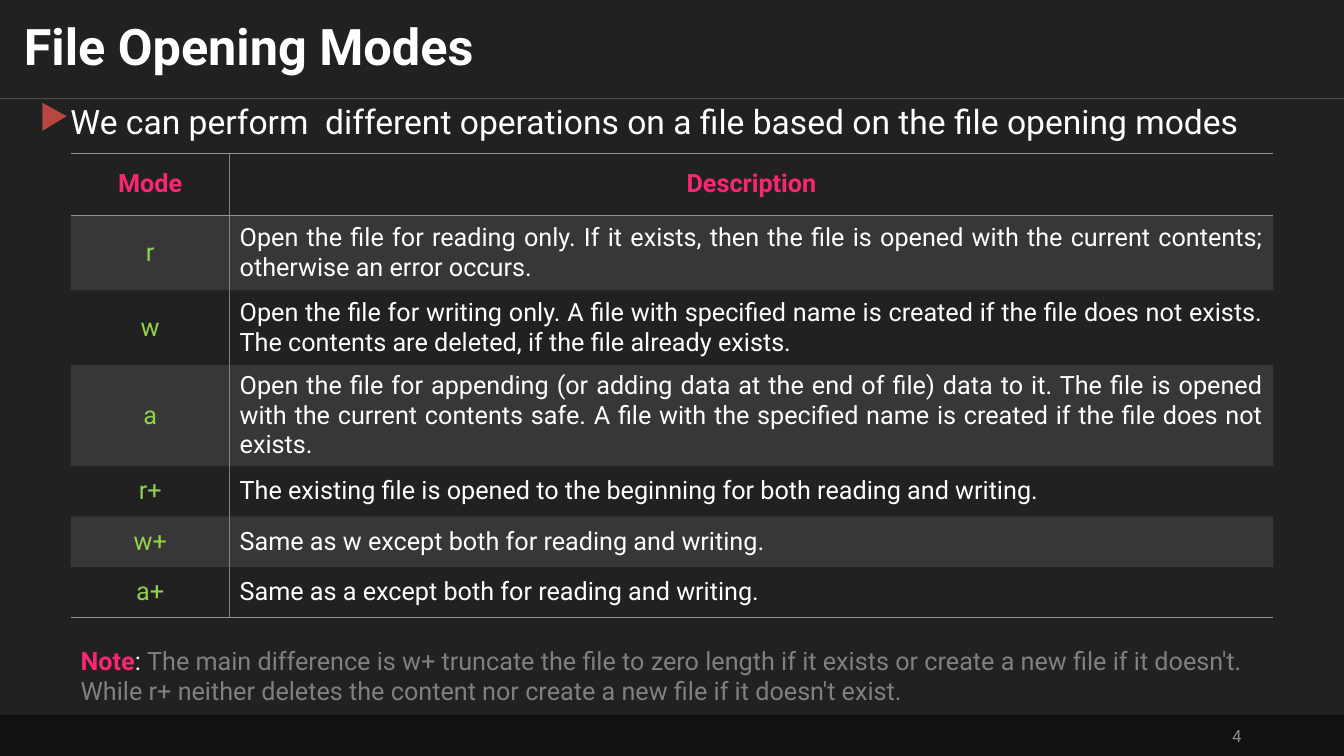
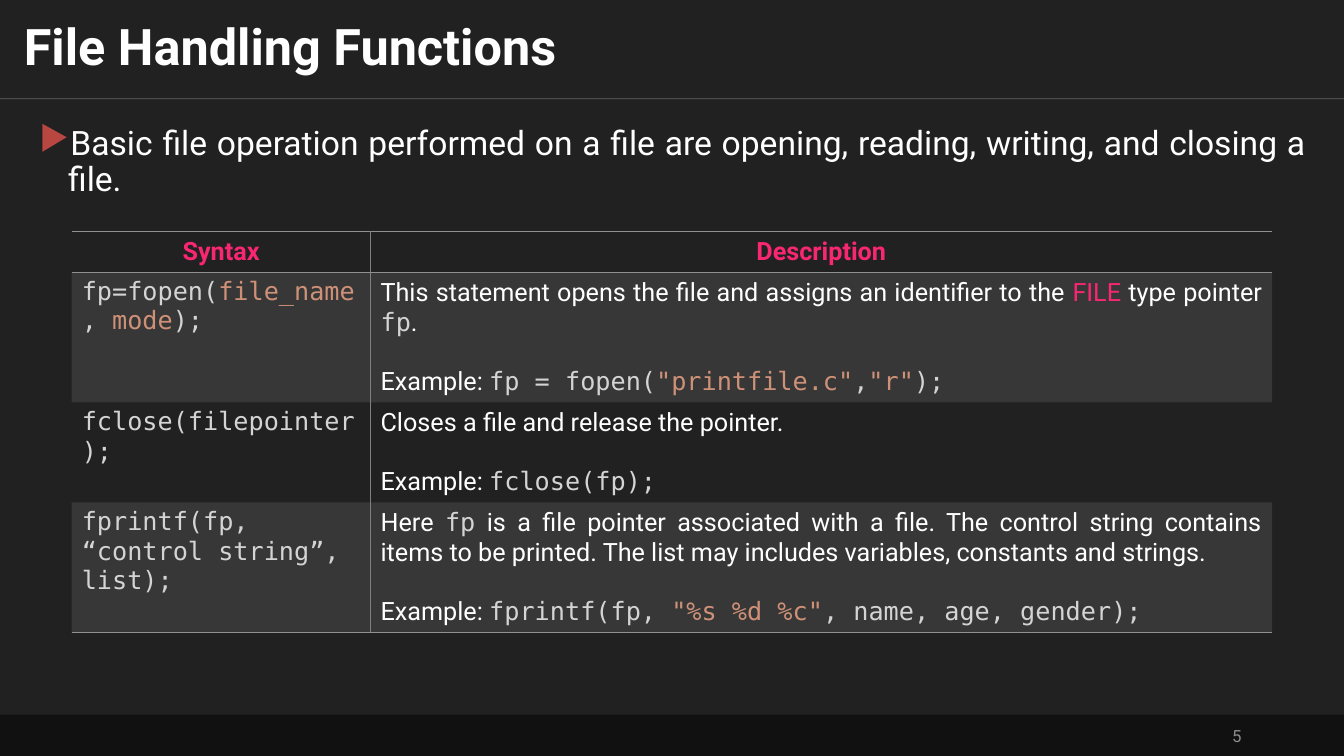
from collections import namedtuple

from lxml import etree
from pptx import Presentation
from pptx.dml.color import RGBColor
from pptx.enum import shapes, text
from pptx.oxml import ns
from pptx.util import Pt

WHITE = RGBColor(0xFF, 0xFF, 0xFF)
BACKDROP = RGBColor(0x21, 0x21, 0x21)
FOOTER = RGBColor(0x11, 0x11, 0x11)
NUMBER = RGBColor(0x8D, 0x8D, 0x8D)
PINK = RGBColor(0xF9, 0x26, 0x72)
GREEN = RGBColor(0x92, 0xD0, 0x50)
BULLET = RGBColor(0xB8, 0x47, 0x42)
GREY = RGBColor(0x80, 0x80, 0x80)
RULE = RGBColor(0x90, 0x90, 0x90)
CODE_GREY = RGBColor(0xD4, 0xD4, 0xD4)
CODE_ORANGE = RGBColor(0xCE, 0x91, 0x78)

SANS, MONO = "Roboto", "DejaVu Sans Mono"
WIDTH, HEIGHT, TITLE_H, FOOTER_TOP = 960, 540, 70.5, 510.5
NO_STYLE = "{2D5ABB26-0587-4C30-8999-92F81FD0307C}"

Style = namedtuple("Style", "font color bold")
PLAIN = Style(SANS, WHITE, False)
TITLE = Style(SANS, WHITE, True)
HEAD = Style(SANS, PINK, True)
KEYWORD = Style(SANS, PINK, False)
MODE = Style(SANS, GREEN, False)
MUTED = Style(SANS, GREY, False)
PAGE = Style(SANS, NUMBER, False)
CODE = Style(MONO, CODE_GREY, False)
ARG = Style(MONO, CODE_ORANGE, False)

Column = namedtuple("Column", "width align anchor gap")
LEFT, CENTER = text.PP_ALIGN.LEFT, text.PP_ALIGN.CENTER
RIGHT, JUSTIFY = text.PP_ALIGN.RIGHT, text.PP_ALIGN.JUSTIFY
TOP, MIDDLE = text.MSO_ANCHOR.TOP, text.MSO_ANCHOR.MIDDLE

MODES = [
    ("r", "Open the file for reading only. If it exists, then the file is opened "
          "with the current contents; otherwise an error occurs."),
    ("w", "Open the file for writing only. A file with specified name is created if "
          "the file does not exists. The contents are deleted, if the file already exists."),
    ("a", "Open the file for appending (or adding data at the end of file) data to it. "
          "The file is opened with the current contents safe. A file with the specified "
          "name is created if the file does not exists."),
    ("r+", "The existing file is opened to the beginning for both reading and writing."),
    ("w+", "Same as w except both for reading and writing."),
    ("a+", "Same as a except both for reading and writing."),
]

EXAMPLE = ("Example: ", PLAIN)
FUNCTIONS = [
    ([[("fp=fopen(", CODE), ("file_name", ARG), (", ", CODE), ("mode", ARG), (");", CODE)]],
     [[("This statement opens the file and assigns an identifier to the ", PLAIN),
       ("FILE ", KEYWORD), ("type pointer ", PLAIN), ("fp", CODE), (".", PLAIN)],
      [EXAMPLE, ("fp = fopen(", CODE), ('"printfile.c"', ARG), (",", CODE),
       ('"r"', ARG), (");", CODE)]]),
    ([[("fclose(filepointer);", CODE)]],
     [[("Closes a file and release the pointer.", PLAIN)],
      [EXAMPLE, ("fclose(fp);", CODE)]]),
    ([[("fprintf(fp,", CODE)], [("“control string”,", CODE)], [("list);", CODE)]],
     [[("Here ", PLAIN), ("fp", CODE),
       (" is a file pointer associated with a file. The control string contains items "
        "to be printed. The list may includes variables, constants and strings.", PLAIN)],
      [EXAMPLE, ("fprintf(fp, ", CODE), ('"%s %d %c"', ARG),
       (", name, age, gender);", CODE)]]),
]


def write(p, runs, size, align=LEFT):
    """Fill a paragraph with styled runs."""
    p.alignment = align
    for words, style in runs:
        r = p.add_run()
        r.text = words
        r.font.size = Pt(size)
        r.font.name = style.font
        r.font.bold = style.bold
        r.font.color.rgb = style.color


def add_text(s, box, runs, size, align=LEFT, anchor=TOP, inset=(7.2, 3.6)):
    """Add a one-paragraph text box and return the paragraph."""
    tf = s.shapes.add_textbox(*map(Pt, box)).text_frame
    tf.word_wrap = True
    tf.vertical_anchor = anchor
    tf.margin_left = tf.margin_right = Pt(inset[0])
    tf.margin_top = tf.margin_bottom = Pt(inset[1])
    p = tf.paragraphs[0]
    write(p, runs, size, align)
    return p


def set_alpha(element, percent):
    """Make every colour inside an element partly transparent."""
    for clr in element.iter(ns.qn("a:srgbClr")):
        etree.SubElement(clr, ns.qn("a:alpha"), val=str(percent * 1000))


def add_frame(prs, title, number):
    """Add a dark slide with its title, title rule, footer band and number."""
    s = prs.slides.add_slide(prs.slide_layouts[6])
    s.background.fill.solid()
    s.background.fill.fore_color.rgb = BACKDROP
    line = s.shapes.add_connector(shapes.MSO_CONNECTOR.STRAIGHT,
                                  0, Pt(TITLE_H), Pt(WIDTH), Pt(TITLE_H))
    line.line.color.rgb = WHITE
    line.line.width = Pt(0.5)
    sp_pr = line._element.spPr
    set_alpha(sp_pr, 30)
    etree.SubElement(sp_pr, ns.qn("a:effectLst"))
    band = s.shapes.add_shape(shapes.MSO_SHAPE.RECTANGLE, 0, Pt(FOOTER_TOP),
                              Pt(WIDTH), Pt(HEIGHT - FOOTER_TOP))
    band.shadow.inherit = False
    band.fill.solid()
    band.fill.fore_color.rgb = FOOTER
    band.line.fill.background()
    add_text(s, (678, 511, 216, 29), [(str(number), PAGE)], 12, RIGHT, MIDDLE)
    p = add_text(s, (0, 0, WIDTH, TITLE_H), [(title, TITLE)], 36, LEFT, MIDDLE, (17, 8.5))
    p.line_spacing = 0.9
    return s


def add_bullet(s, box, words):
    """Add a justified statement with a red triangle bullet."""
    p = add_text(s, box, [(words, PLAIN)], 24, JUSTIFY)
    p.line_spacing = 0.9
    p_pr = p._p.get_or_add_pPr()
    p_pr.set("marL", str(Pt(20.6)))
    p_pr.set("indent", str(-Pt(20.6)))
    clr = etree.SubElement(p_pr, ns.qn("a:buClr"))
    etree.SubElement(clr, ns.qn("a:srgbClr"), val=str(BULLET))
    etree.SubElement(p_pr, ns.qn("a:buChar"), char="▶")


def add_border(cell, side, color):
    """Draw one solid edge of a table cell."""
    ln = etree.SubElement(cell._tc.get_or_add_tcPr(), ns.qn("a:" + side), w=str(Pt(1)))
    fill = etree.SubElement(ln, ns.qn("a:solidFill"))
    etree.SubElement(fill, ns.qn("a:srgbClr"), val=str(color))


def style_cell(cell, row, col, last):
    """Give a cell its edges and, on odd rows, a translucent band."""
    edges = [("lnL", GREY, col == 1), ("lnR", GREY, col == 0),
             ("lnT", RULE, row == 0), ("lnB", RULE, row in (0, last))]
    for side, color, shown in edges:
        if shown:
            add_border(cell, side, color)
    if row % 2:
        cell.fill.solid()
        cell.fill.fore_color.rgb = RULE
        set_alpha(cell._tc.tcPr.find(ns.qn("a:solidFill")), 20)
    else:
        cell.fill.background()


def add_grid(s, left, top, columns, heights, heads, rows):
    """Add a two-column table with a pink heading row and banded body."""
    body = [[[[(head, HEAD)]] for head in heads]] + list(rows)
    gf = s.shapes.add_table(len(body), len(columns), Pt(left), Pt(top),
                            Pt(sum(c.width for c in columns)), Pt(sum(heights)))
    table = gf.table
    table.first_row = table.horz_banding = False
    table._tbl.tblPr.find(ns.qn("a:tableStyleId")).text = NO_STYLE
    for c, column in enumerate(columns):
        table.columns[c].width = Pt(column.width)
    for i, cells in enumerate(body):
        table.rows[i].height = Pt(heights[i])
        for c, (column, paragraphs) in enumerate(zip(columns, cells)):
            cell = table.cell(i, c)
            cell.vertical_anchor = column.anchor if i else MIDDLE
            style_cell(cell, i, c, len(body) - 1)
            tf = cell.text_frame
            for n, runs in enumerate(paragraphs):
                p = tf.add_paragraph() if n else tf.paragraphs[0]
                write(p, runs, 18, column.align if i else CENTER)
                if n:
                    p.space_before = Pt(column.gap)


def add_modes_slide(prs):
    """Build the slide that lists the file opening modes."""
    s = add_frame(prs, "File Opening Modes", 4)
    add_bullet(s, (21, 72, 919, 40),
               "We can perform  different operations on a file based on the file opening modes")
    columns = [Column(113.5, CENTER, MIDDLE, 0), Column(745.5, JUSTIFY, MIDDLE, 0)]
    rows = [([[(mode, MODE)]], [[(words, PLAIN)]]) for mode, words in MODES]
    add_grid(s, 50.5, 109.5, columns, [44.4, 53.5, 53.5, 70.5, 36, 36, 36],
             ["Mode", "Description"], rows)
    add_text(s, (50.5, 457.5, 860, 50),
             [("Note", HEAD), (": ", PLAIN),
              ("The main difference is w+ truncate the file to zero length if it exists or "
               "create a new file if it doesn't. While r+ neither deletes the content nor "
               "create a new file if it doesn't exist.", MUTED)], 18)


def add_functions_slide(prs):
    """Build the slide that explains the file handling functions."""
    s = add_frame(prs, "File Handling Functions", 5)
    add_bullet(s, (21, 86.5, 919, 63),
               "Basic file operation performed on a file are opening, reading, writing, "
               "and closing a file.")
    columns = [Column(213.5, LEFT, TOP, 0), Column(644, JUSTIFY, MIDDLE, 21)]
    add_grid(s, 51.2, 165.6, columns, [28.3, 92, 70.5, 92],
             ["Syntax", "Description"], FUNCTIONS)


def main():
    """Build and save the presentation."""
    prs = Presentation()
    prs.slide_width, prs.slide_height = Pt(WIDTH), Pt(HEIGHT)
    add_modes_slide(prs)
    add_functions_slide(prs)
    prs.save("out.pptx")


if __name__ == "__main__":
    main()
